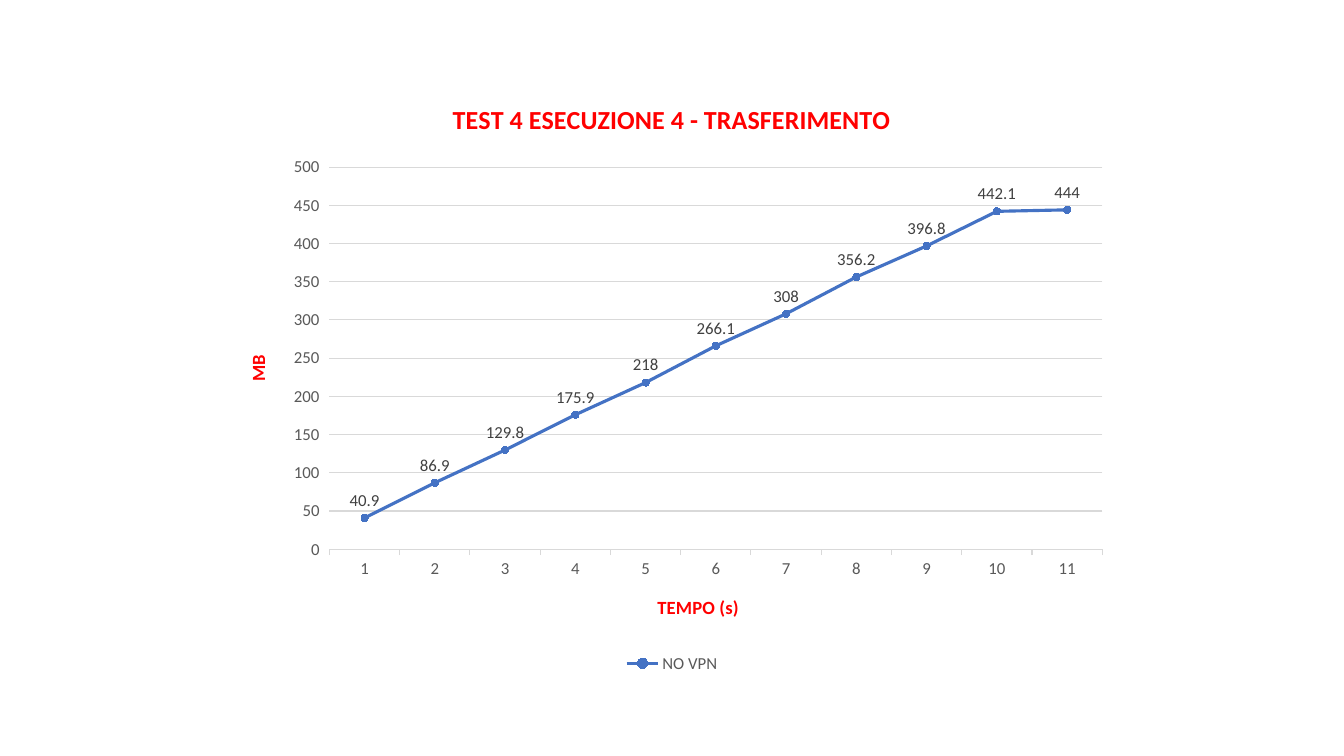
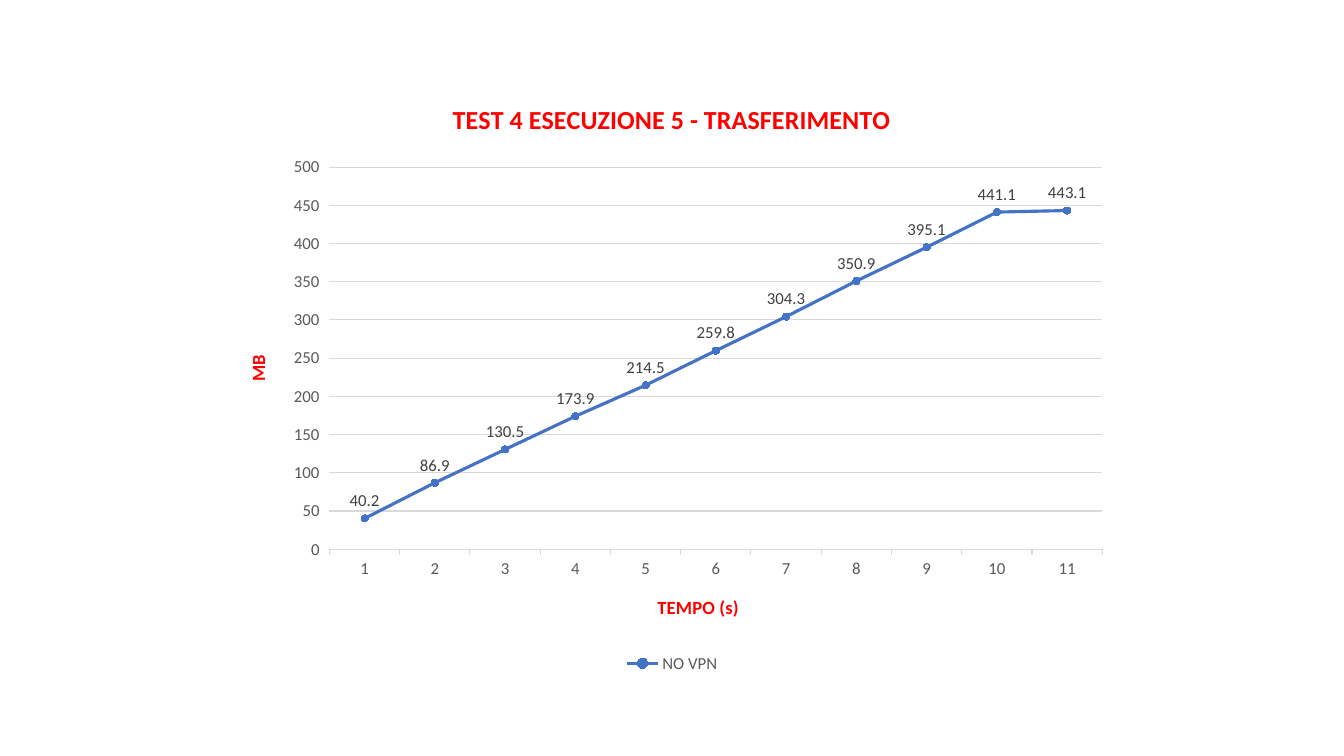
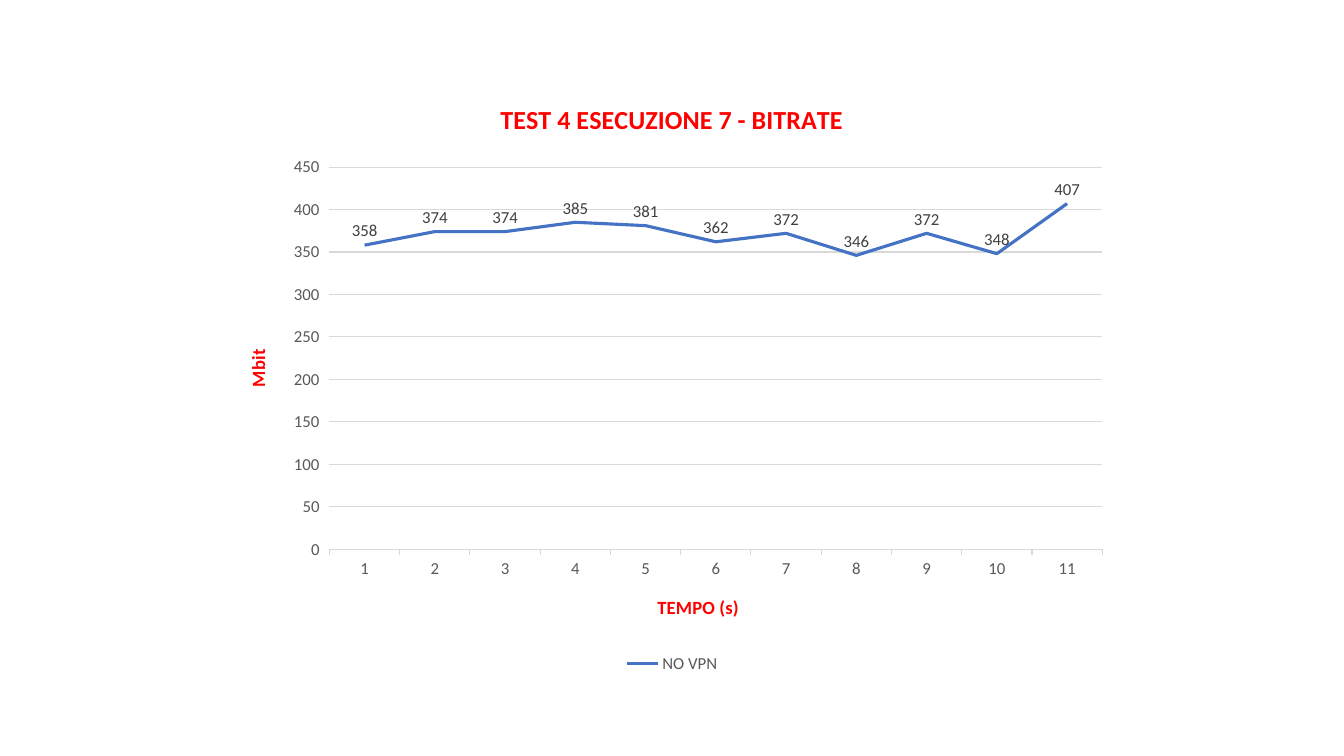
from dataclasses import dataclass

import pptx
import pptx.chart.data
import pptx.dml.color
import pptx.enum.chart
import pptx.util
from pptx.util import Inches


@dataclass(frozen=True)
class Theme:
    font: str = "Calibri"
    heading: str = "FF0000"
    text: str = "000000"
    axis_text: str = "595959"
    label_text: str = "404040"
    grid: str = "D9D9D9"
    series: str = "4472C4"
    title_size: float = 18.6
    axis_title_size: float = 13.3
    label_size: float = 12
    base_size: float = 10
    grid_width: float = 0.75
    series_width: float = 2.25
    marker_size: int = 5


def rgb(color):
    return pptx.dml.color.RGBColor.from_string(color)


class Deck:
    def __init__(self, theme):
        self.theme = theme
        self.presentation = pptx.Presentation()
        self.presentation.slide_width = Inches(13.33)
        self.presentation.slide_height = Inches(7.5)
        self.slide = None

    def add_slide(self):
        blank_layout = self.presentation.slide_layouts[6]
        self.slide = self.presentation.slides.add_slide(blank_layout)

    def style_font(self, font, size, color, bold=False):
        font.name = self.theme.font
        font.size = pptx.util.Pt(size)
        font.bold = bold
        font.color.rgb = rgb(color)

    def style_line(self, line, color, width):
        line.color.rgb = rgb(color)
        line.width = pptx.util.Pt(width)

    def set_heading(self, text_frame, text, size):
        text_frame.text = text
        paragraph = text_frame.paragraphs[0]
        self.style_font(paragraph.font, size, self.theme.heading, bold=True)

    def style_axis(self, axis, title):
        self.set_heading(axis.axis_title.text_frame, title, self.theme.axis_title_size)
        axis.major_tick_mark = pptx.enum.chart.XL_TICK_MARK.OUTSIDE
        axis.minor_tick_mark = pptx.enum.chart.XL_TICK_MARK.NONE
        self.style_font(axis.tick_labels.font, self.theme.label_size, self.theme.axis_text)

    def style_axes(self, chart, unit):
        theme = self.theme
        category_axis, value_axis = chart.category_axis, chart.value_axis
        self.style_axis(category_axis, "TEMPO (s)")
        self.style_line(category_axis.format.line, theme.grid, theme.grid_width)

        self.style_axis(value_axis, unit)
        body = value_axis.axis_title.text_frame._txBody.bodyPr
        body.set("rot", "-5400000")
        body.set("vert", "horz")
        value_axis.minimum_scale = 0
        value_axis.format.line.fill.background()
        value_axis.has_major_gridlines = True
        self.style_line(value_axis.major_gridlines.format.line, theme.grid, theme.grid_width)

    def style_series(self, plot, markers):
        theme = self.theme
        plot.vary_by_categories = False
        series = plot.series[0]
        series.smooth = False
        self.style_line(series.format.line, theme.series, theme.series_width)
        if markers:
            marker = series.marker
            marker.style = pptx.enum.chart.XL_MARKER_STYLE.CIRCLE
            marker.size = theme.marker_size
            marker.format.fill.solid()
            marker.format.fill.fore_color.rgb = rgb(theme.series)
            self.style_line(marker.format.line, theme.series, theme.grid_width)

        labels = series.data_labels
        labels.show_value = True
        labels.position = pptx.enum.chart.XL_LABEL_POSITION.ABOVE
        self.style_font(labels.font, theme.label_size, theme.label_text)

    def add_line_chart(self, title, unit, values, markers):
        theme = self.theme
        chart_types = pptx.enum.chart.XL_CHART_TYPE
        data = pptx.chart.data.CategoryChartData()
        data.categories = [str(second) for second in range(1, len(values) + 1)]
        data.add_series("NO VPN", values)
        chart = self.slide.shapes.add_chart(
            chart_types.LINE_MARKERS if markers else chart_types.LINE,
            Inches(2.22), Inches(0.79), Inches(8.89), Inches(5.93), data,
        ).chart

        self.style_font(chart.font, theme.base_size, theme.text)
        self.set_heading(chart.chart_title.text_frame, title, theme.title_size)
        chart.has_legend = True
        chart.legend.position = pptx.enum.chart.XL_LEGEND_POSITION.BOTTOM
        chart.legend.include_in_layout = False
        self.style_font(chart.legend.font, theme.label_size, theme.axis_text)
        self.style_axes(chart, unit)
        self.style_series(chart.plots[0], markers)


TESTS = [
    ("TEST 4 ESECUZIONE 4 - TRASFERIMENTO", "MB",
     [40.9, 86.9, 129.8, 175.9, 218, 266.1, 308, 356.2, 396.8, 442.1, 444], True),
    ("TEST 4 ESECUZIONE 5 - TRASFERIMENTO", "MB",
     [40.2, 86.9, 130.5, 173.9, 214.5, 259.8, 304.3, 350.9, 395.1, 441.1, 443.1], True),
    ("TEST 4 ESECUZIONE 7 - BITRATE", "Mbit",
     [358, 374, 374, 385, 381, 362, 372, 346, 372, 348, 407], False),
]


def main():
    deck = Deck(Theme())
    for title, unit, values, markers in TESTS:
        deck.add_slide()
        deck.add_line_chart(title, unit, values, markers)
    deck.presentation.save("out.pptx")


if __name__ == "__main__":
    main()
